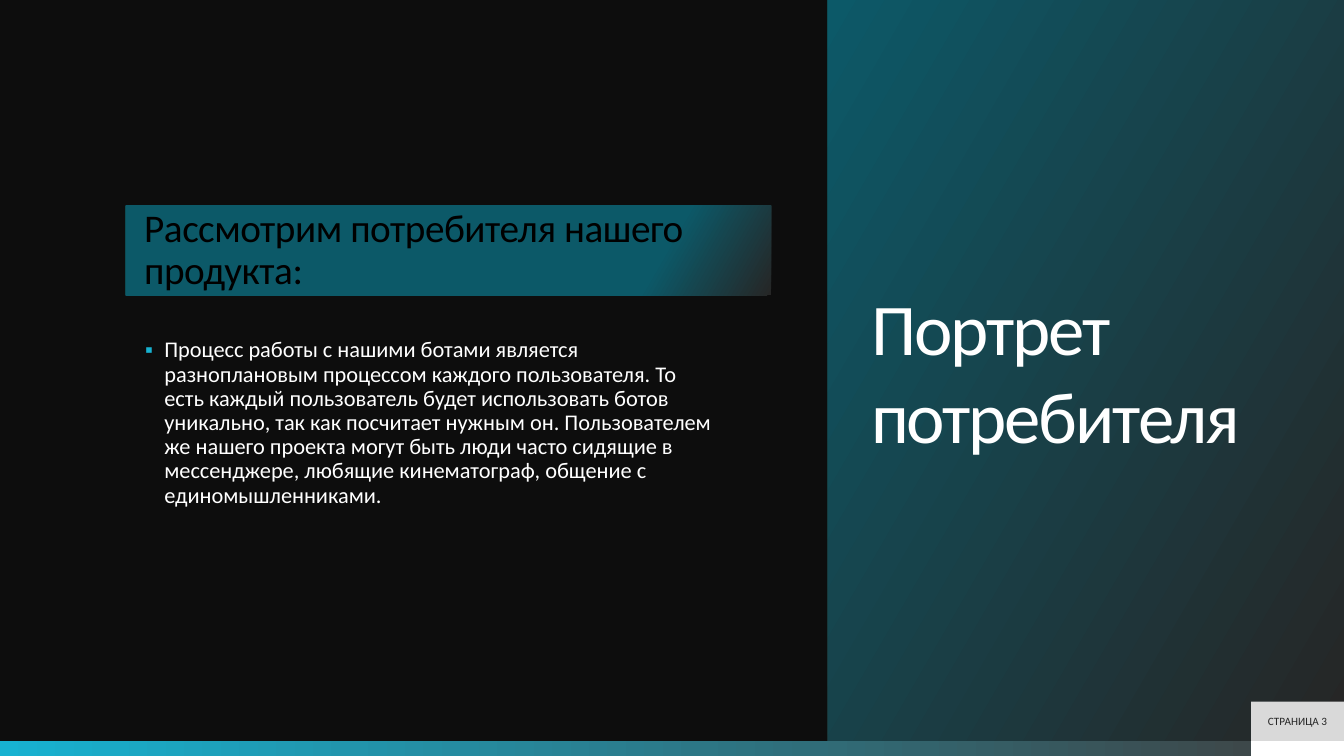
import pptx
import pptx.util
import pptx.dml.color
import pptx.enum.shapes
import pptx.enum.text
import pptx.oxml
import pptx.oxml.ns

Inches = pptx.util.Inches
Pt = pptx.util.Pt
RGBColor = pptx.dml.color.RGBColor
ANCHOR = pptx.enum.text.MSO_ANCHOR
ALIGN = pptx.enum.text.PP_ALIGN

NIGHT = RGBColor(0x0D, 0x0D, 0x0D)
CYAN = RGBColor(0x17, 0xB2, 0xD1)
TEAL = RGBColor(0x0C, 0x59, 0x68)
CHARCOAL = RGBColor(0x26, 0x26, 0x26)
GREY = RGBColor(0x40, 0x40, 0x40)
SILVER = RGBColor(0xD9, 0xD9, 0xD9)
WHITE = RGBColor(0xFF, 0xFF, 0xFF)
BLACK = RGBColor(0x00, 0x00, 0x00)

SLIDE_W, SLIDE_H = 13.33, 7.5
STRIP_H = 0.15
TAB_W, TAB_H = 0.92, 0.39
PANEL_W = 5.12

TITLE = "Портрет потребителя"
HEADING = "Рассмотрим потребителя нашего продукта:"
BODY = (
    "Процесс работы с нашими ботами является разноплановым процессом "
    "каждого пользователя. То есть каждый пользователь будет использовать "
    "ботов уникально, так как посчитает нужным он. Пользователем же нашего "
    "проекта могут быть люди часто сидящие в мессенджере, любящие "
    "кинематограф, общение с единомышленниками."
)


def set_attrs(obj, values):
    for name, value in values.items():
        setattr(obj, name, value)


def place(sp, box):
    names = ("left", "top", "width", "height")
    set_attrs(sp, dict(zip(names, map(Inches, box))))


def fill_gradient(sp, stops, angle):
    sp.fill.gradient()
    sp.fill.gradient_angle = angle
    for stop, (position, color) in zip(sp.fill.gradient_stops, stops):
        stop.position = position
        stop.color.rgb = color


def add_rect(s, box, color=None):
    sp = s.shapes.add_shape(
        pptx.enum.shapes.MSO_SHAPE.RECTANGLE, *map(Inches, box))
    sp.shadow.inherit = False
    sp.line.fill.background()
    if color is not None:
        sp.fill.solid()
        sp.fill.fore_color.rgb = color
    return sp


def write(sp, text, size, color, insets, anchor, spacing=0, **para):
    tf = sp.text_frame
    sides = ("margin_left", "margin_top", "margin_right", "margin_bottom")
    set_attrs(tf, dict(zip(sides, map(Inches, insets))))
    set_attrs(tf, {
        "word_wrap": True,
        "auto_size": pptx.enum.text.MSO_AUTO_SIZE.NONE,
        "vertical_anchor": anchor,
    })
    p = tf.paragraphs[0]
    set_attrs(p, {"alignment": ALIGN.LEFT, "space_before": Pt(0), **para})
    r = p.add_run()
    r.text = text
    set_attrs(r.font, {"name": "Calibri", "size": Pt(size)})
    r.font.color.rgb = color
    if spacing:
        r._r.get_or_add_rPr().set("spc", str(round(spacing * 100)))
    return p


def set_bullet(p, char, color, indent):
    pPr = p._p.get_or_add_pPr()
    pPr.set("marL", str(Inches(indent)))
    pPr.set("indent", str(-Inches(indent)))
    ns = pptx.oxml.ns.nsdecls("a")
    for xml in (
        f'<a:buClr {ns}><a:srgbClr val="{color}"/></a:buClr>',
        f'<a:buChar {ns} char="{char}"/>',
    ):
        pPr.append(pptx.oxml.parse_xml(xml))


def add_title_panel(s, box):
    sp = s.shapes.title
    place(sp, box)
    fill_gradient(sp, [(0.01, CHARCOAL), (1, TEAL)], 150)
    write(sp, TITLE, 52, WHITE, (0.43, 0.05, 0.43, 0.05), ANCHOR.MIDDLE, -1.5)


def add_consumer_text(s, box):
    left, top, width, height = box
    body = s.placeholders[1]
    place(body, box)
    p = write(body, BODY, 16, WHITE, (0.52, 1.48, 0.52, 0.12), ANCHOR.TOP,
              line_spacing=0.9)
    set_bullet(p, "▪", CYAN, 0.19)
    heading = add_rect(s, (left + 0.33, top + 0.16, width - 0.33, 0.89))
    fill_gradient(heading, [(0, CHARCOAL), (0.19, TEAL)], 150)
    write(heading, HEADING, 28, BLACK, (0.18, 0, 0.18, 0), ANCHOR.MIDDLE, -0.3,
          line_spacing=0.9)


def add_footer(s, box):
    left, top, width, height = box
    tab_left = left + width - TAB_W
    strip = add_rect(s, box)
    fill_gradient(strip, [(0, CYAN), (1, GREY)], 0)
    add_rect(s, (tab_left, top, TAB_W, height), WHITE)
    tab = add_rect(s, (tab_left, top - TAB_H, TAB_W, TAB_H), SILVER)
    write(tab, "СТРАНИЦА 3", 8, CHARCOAL, (0.05, 0.05, 0.05, 0.05),
          ANCHOR.MIDDLE, alignment=ALIGN.CENTER)


def main():
    prs = pptx.Presentation()
    set_attrs(prs, {"slide_width": Inches(SLIDE_W),
                    "slide_height": Inches(SLIDE_H)})
    s = prs.slides.add_slide(prs.slide_layouts[1])
    s.background.fill.solid()
    s.background.fill.fore_color.rgb = NIGHT
    strip_top = SLIDE_H - STRIP_H
    add_title_panel(s, (SLIDE_W - PANEL_W, 0, PANEL_W, strip_top))
    add_consumer_text(s, (0.92, 1.88, 6.73, 3.58))
    add_footer(s, (0, strip_top, SLIDE_W, STRIP_H))
    prs.save("out.pptx")


if __name__ == "__main__":
    main()
